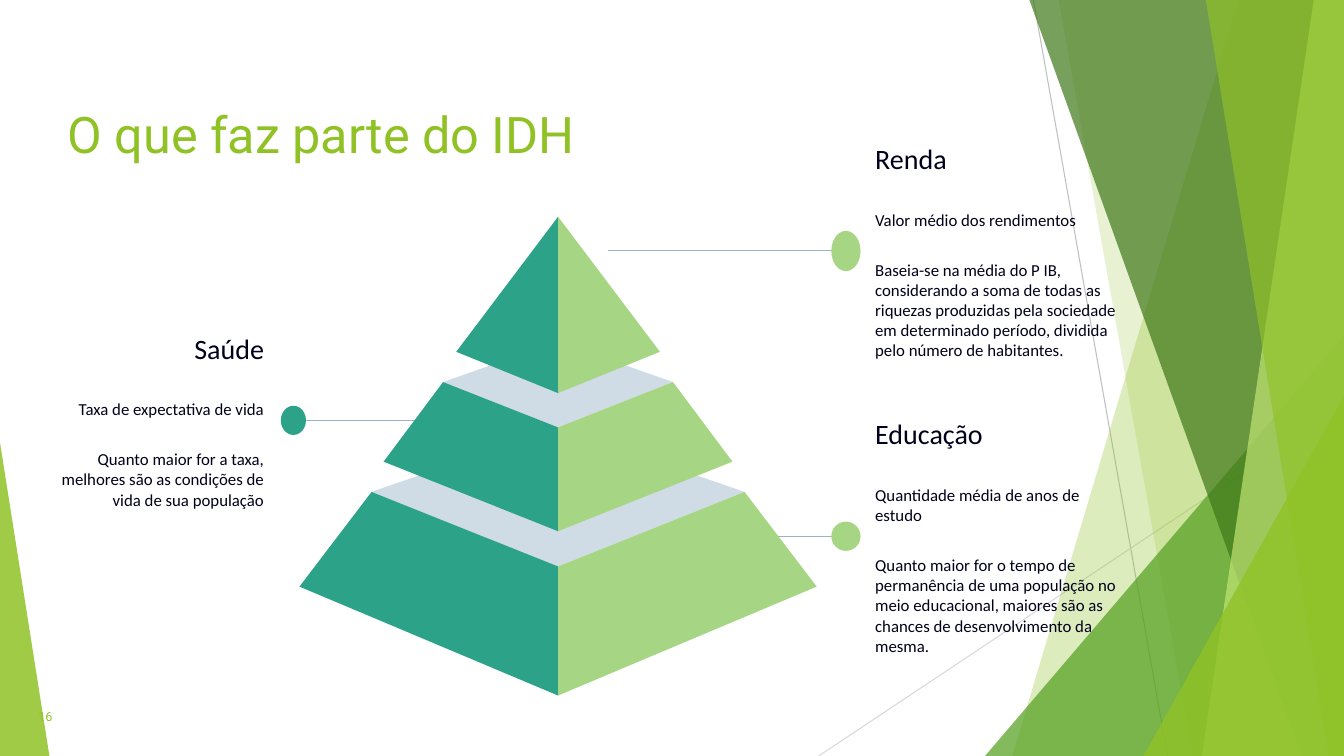
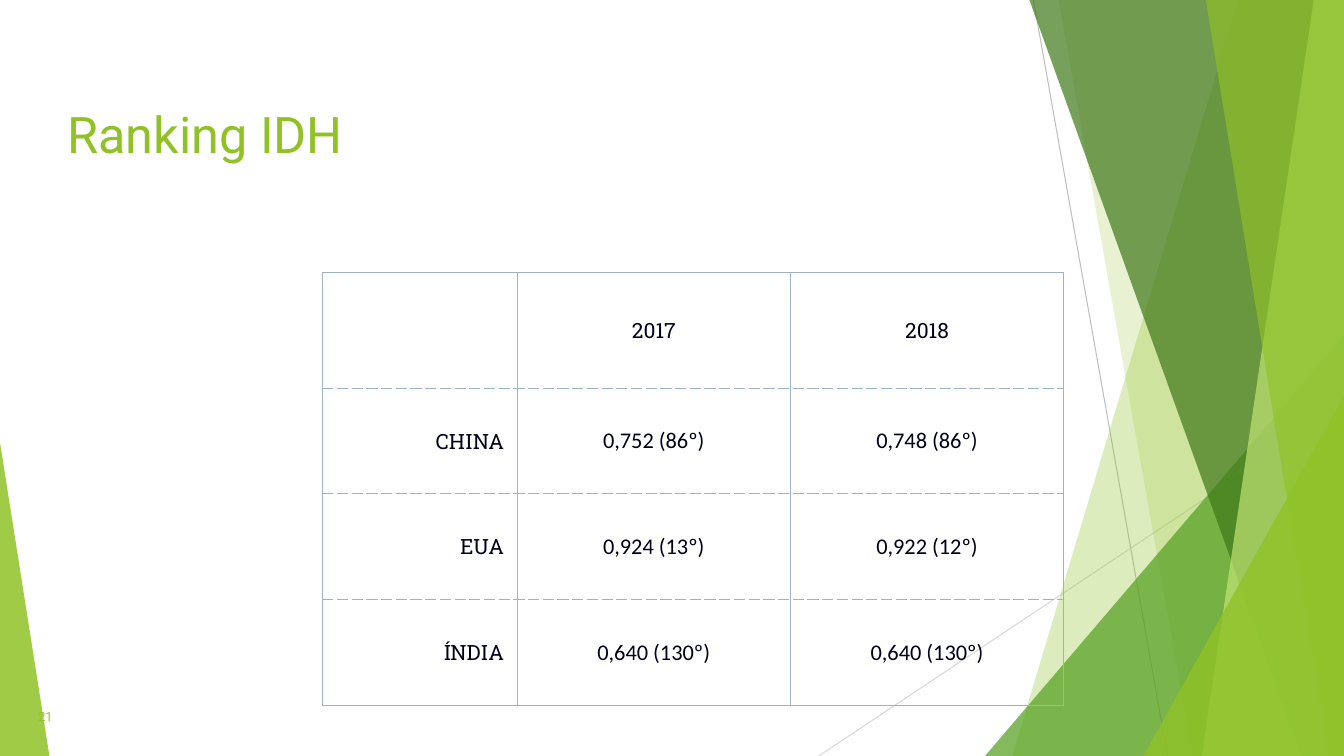
"""Build two slides on the HDI: its three components and a ranking table."""
import dataclasses

import lxml.etree
import pptx
import pptx.dml.color
import pptx.enum.shapes
import pptx.enum.text
import pptx.oxml.ns
import pptx.util

Inches, Pt = pptx.util.Inches, pptx.util.Pt
SHAPE = pptx.enum.shapes.MSO_SHAPE
ALIGN = pptx.enum.text.PP_ALIGN
ANCHOR = pptx.enum.text.MSO_ANCHOR
qn = pptx.oxml.ns.qn


@dataclasses.dataclass(frozen=True)
class Theme:
    """Colours, fonts and type sizes of the deck."""
    width: float = 13.33
    height: float = 7.5
    accent: str = "90C226"
    lime: str = "C0E474"
    leaf: str = "54A021"
    forest: str = "3F7819"
    ray_dark: str = "BFBFBF"
    ray_light: str = "D9D9D9"
    ink: str = "00001A"
    rule: str = "9EB3C2"
    teal: str = "2CA388"
    mint: str = "A6D683"
    lid: str = "CFDCE6"
    title_font: str = "Roboto"
    body_font: str = "Calibri"
    label_font: str = "Roboto Slab"
    title_size: int = 36
    heading_size: int = 20
    text_size: int = 12
    label_size: int = 15
    value_size: int = 16
    number_size: int = 9
    line_width: float = 0.75


THEME = Theme()


def rgb(color):
    """Return a colour object for a hex string."""
    return pptx.dml.color.RGBColor.from_string(color)


def paint(sp, color, opacity=100):
    """Give a shape a flat fill without line or shadow."""
    sp.shadow.inherit = False
    sp.line.fill.background()
    sp.fill.solid()
    sp.fill.fore_color.rgb = rgb(color)
    if opacity < 100:
        clr = sp.element.spPr.find(".//" + qn("a:srgbClr"))
        lxml.etree.SubElement(clr, qn("a:alpha")).set("val", str(opacity * 1000))


def add_preset(shapes, kind, box, color, opacity=100, adjust=None):
    """Add a painted preset shape."""
    sp = shapes.add_shape(kind, *map(Inches, box))
    if adjust is not None:
        sp.adjustments[0] = adjust
    paint(sp, color, opacity)


def add_polygon(shapes, points, color, opacity=100):
    """Add a painted closed outline."""
    start, *rest = [(Inches(x), Inches(y)) for x, y in points]
    builder = shapes.build_freeform(*start)
    builder.add_line_segments(rest, close=True)
    paint(builder.convert_to_shape(), color, opacity)


def add_line(shapes, begin, end, color):
    """Add a thin straight line."""
    cxn = shapes.add_connector(pptx.enum.shapes.MSO_CONNECTOR.STRAIGHT,
                               *map(Inches, begin + end))
    cxn.line.color.rgb = rgb(color)
    cxn.line.width = Pt(THEME.line_width)
    lxml.etree.SubElement(cxn.element.spPr, qn("a:effectLst"))


def style_runs(p, font, size, color):
    """Format every run of a paragraph."""
    for r in p.runs:
        r.font.name, r.font.size = font, Pt(size)
        r.font.color.rgb = rgb(color)


def set_frame(tf, anchor, inset):
    """Set wrapping, anchor and equal insets of a text frame."""
    tf.word_wrap = True
    tf.auto_size = pptx.enum.text.MSO_AUTO_SIZE.NONE
    tf.vertical_anchor = anchor
    tf.margin_left = tf.margin_right = tf.margin_top = tf.margin_bottom = Inches(inset)


def add_backdrop(prs, s):
    """Draw the green facets and move them to the slide master."""
    group = s.shapes.add_group_shape()
    shapes = group.shapes
    right, bottom = THEME.width, THEME.height

    def facet(top_x, bottom_x, color, opacity):
        """Fill from a slanted edge to the right border."""
        add_polygon(shapes, [(top_x, 0), (right, 0), (right, bottom), (bottom_x, bottom)],
                    color, opacity)

    def corner(width, height, color, opacity, at_right=True):
        """Fill a right triangle in a bottom corner."""
        left = right - width if at_right else 0
        add_preset(shapes, SHAPE.ISOSCELES_TRIANGLE, (left, bottom - height, width, height),
                   color, opacity, int(at_right))

    add_line(shapes, (10.25, 0), (11.58, bottom), THEME.ray_dark)
    add_line(shapes, (right, 4.03), (8.12, bottom), THEME.ray_light)
    facet(12.28, 10.04, THEME.accent, 30)
    facet(10.5, 11.83, THEME.accent, 20)
    corner(3.56, 4.17, THEME.leaf, 72)
    facet(10.21, 12.91, THEME.forest, 70)
    facet(13.03, 11.92, THEME.lime, 70)
    facet(11.96, 13.18, THEME.accent, 65)
    corner(1.99, 3.57, THEME.accent, 80)
    corner(0.49, 3.11, THEME.accent, 85, at_right=False)
    for number, props in enumerate(group.element.iter(qn("p:cNvPr")), 100):
        props.set("id", str(number))
    prs.slide_master.element.cSld.spTree.insert(2, group.element)


def add_title(s, box, text):
    """Place and format the title placeholder."""
    sp = s.shapes.title
    sp.left, sp.top, sp.width, sp.height = map(Inches, box)
    tf = sp.text_frame
    tf.text = text
    set_frame(tf, ANCHOR.MIDDLE, 0)
    tf.paragraphs[0].alignment = ALIGN.LEFT
    style_runs(tf.paragraphs[0], THEME.title_font, THEME.title_size, THEME.accent)


def add_page_number(s, box, number):
    """Write the page number."""
    tf = s.shapes.add_textbox(*map(Inches, box)).text_frame
    tf.text = str(number)
    set_frame(tf, ANCHOR.BOTTOM, 0)
    style_runs(tf.paragraphs[0], THEME.title_font, THEME.number_size, THEME.accent)


def new_slide(prs, title, number):
    """Add a slide with its title and page number."""
    s = prs.slides.add_slide(prs.slide_layouts[5])
    add_title(s, (0.67, 0, 8, 2.65), title)
    add_page_number(s, (0.38, 6.82, 0.7, 0.36), number)
    return s


def add_callout(s, box, texts, line_x, dot_size, color, on_left=False):
    """Add a text block joined to the pyramid by a line and a dot."""
    x, y, w, h = box
    dot_w, dot_h = dot_size
    dot_x = x + w + 0.16 if on_left else x - 0.16
    mid = y + h / 2
    add_line(s.shapes, (line_x, mid), (dot_x, mid), THEME.rule)
    add_preset(s.shapes, SHAPE.OVAL, (dot_x - dot_w / 2, mid - dot_h / 2, dot_w, dot_h), color)
    tf = s.shapes.add_textbox(*map(Inches, box)).text_frame
    set_frame(tf, ANCHOR.MIDDLE, 0.13)
    for i, text in enumerate(texts):
        p = tf.add_paragraph() if i else tf.paragraphs[0]
        p.text = text
        p.alignment = ALIGN.RIGHT if on_left else ALIGN.LEFT
        p.space_after = Pt(21.3 if i else 24.4)
        style_runs(p, THEME.body_font, THEME.text_size if i else THEME.heading_size, THEME.ink)


def add_pyramid(s, box):
    """Draw three two-tone tiers, from the base to the tip."""
    x, y, w, _ = box
    mid = x + w / 2
    tiers = [
        (1.85, 2.09, 2.73, 3.47, w / 2, 3.67, 4.75),
        (1.14, 1.24, 1.64, 2.09, 1.73, 2.43, 3.12),
        (0, 0, 0, 0, 1.01, 1.34, 1.75),
    ]
    for top_half, back, shoulder, ridge, base_half, base, tip in tiers:
        if top_half:
            add_polygon(s.shapes, [(mid - top_half, y + shoulder), (mid, y + ridge),
                                   (mid + top_half, y + shoulder), (mid, y + back)], THEME.lid)
        for side, color in ((-1, THEME.teal), (1, THEME.mint)):
            add_polygon(s.shapes, [(mid + side * top_half, y + shoulder),
                                   (mid + side * base_half, y + base),
                                   (mid, y + tip), (mid, y + ridge)], color)


def set_borders(cell, dash_top, dash_bottom):
    """Outline a cell, with dashes on its inner horizontal sides."""
    tc_pr = cell._tc.get_or_add_tcPr()
    sides = (("L", False), ("R", False), ("T", dash_top), ("B", dash_bottom))
    for i, (side, dashed) in enumerate(sides):
        ln = lxml.etree.Element(qn("a:ln" + side), w=str(Pt(THEME.line_width)))
        fill = lxml.etree.SubElement(ln, qn("a:solidFill"))
        lxml.etree.SubElement(fill, qn("a:srgbClr"), val=THEME.rule)
        lxml.etree.SubElement(ln, qn("a:prstDash"), val="lgDash" if dashed else "solid")
        tc_pr.insert(i, ln)


def add_ranking(s, box, rows):
    """Add the ranking table with labels in the first row and column."""
    last = len(rows) - 1
    table = s.shapes.add_table(len(rows), len(rows[0]), *map(Inches, box)).table
    table.first_row = table.horz_banding = False
    for col, width in zip(table.columns, (1.93, 2.71, 2.71)):
        col.width = Inches(width)
    for i, row in enumerate(rows):
        table.rows[i].height = Inches(1.05 if i else 1.15)
        for j, text in enumerate(row):
            cell = table.cell(i, j)
            cell.fill.background()
            set_borders(cell, i > 0, i < last)
            cell.vertical_anchor = ANCHOR.MIDDLE
            cell.margin_left = cell.margin_right = Inches(0.13)
            cell.margin_top = cell.margin_bottom = Inches(0.1)
            cell.text_frame.text = text
            p = cell.text_frame.paragraphs[0]
            p.alignment = ALIGN.CENTER if j else ALIGN.RIGHT
            if i and j:
                style_runs(p, THEME.body_font, THEME.value_size, THEME.ink)
            else:
                style_runs(p, THEME.label_font, THEME.label_size, THEME.ink)


def build_components(s):
    """Fill the slide on the three components."""
    add_callout(s, (8.55, 4.31, 2.72, 2.02), [
        "Educação",
        "Quantidade média de anos de estudo",
        "Quanto maior for o tempo de permanência de uma população no meio educacional, "
        "maiores são as chances de desenvolvimento da mesma.",
    ], 7.67, (0.29, 0.29), THEME.mint)
    add_callout(s, (0.41, 3.16, 2.34, 2.02), [
        "Saúde",
        "Taxa de expectativa de vida",
        "Quanto maior for a taxa, melhores são as condições de vida de sua população",
    ], 4.16, (0.25, 0.29), THEME.teal, on_left=True)
    add_callout(s, (8.55, 1.1, 2.72, 2.78), [
        "Renda",
        "Valor médio dos rendimentos",
        "Baseia-se na média do P IB, considerando a soma de todas as riquezas produzidas "
        "pela sociedade em determinado período, dividida pelo número de habitantes.",
    ], 6.03, (0.29, 0.4), THEME.mint)
    add_pyramid(s, (2.97, 2.15, 5.13, 4.75))


def main():
    """Build and save the deck."""
    prs = pptx.Presentation()
    prs.slide_width, prs.slide_height = Inches(THEME.width), Inches(THEME.height)
    s = new_slide(prs, "O que faz parte do IDH", 16)
    add_backdrop(prs, s)
    build_components(s)
    s = new_slide(prs, "Ranking IDH", 21)
    add_ranking(s, (3.2, 2.7, 7.35, 4.3), [
        ("", "2017", "2018"),
        ("CHINA", "0,752 (86º)", "0,748 (86º)"),
        ("EUA", "0,924 (13º)", "0,922 (12º)"),
        ("ÍNDIA", "0,640 (130º)", "0,640 (130º)"),
    ])
    prs.save("out.pptx")


if __name__ == "__main__":
    main()
